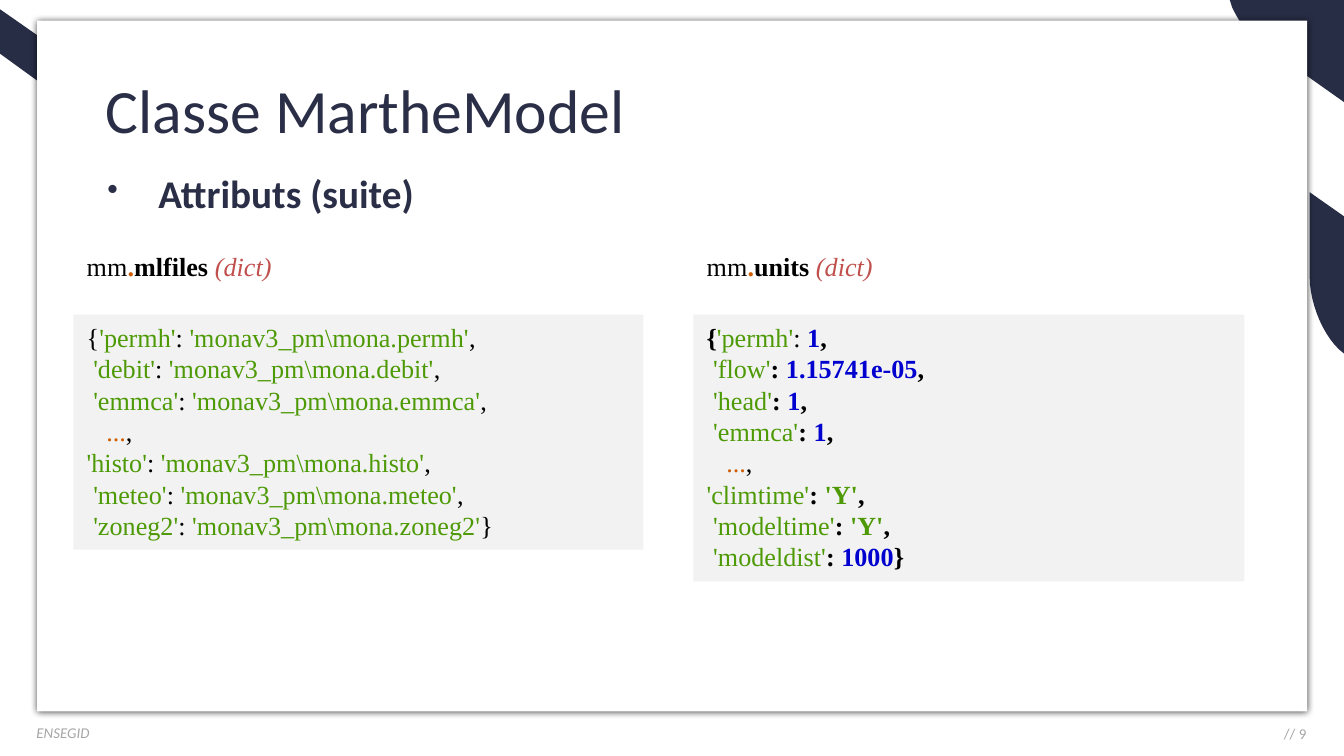
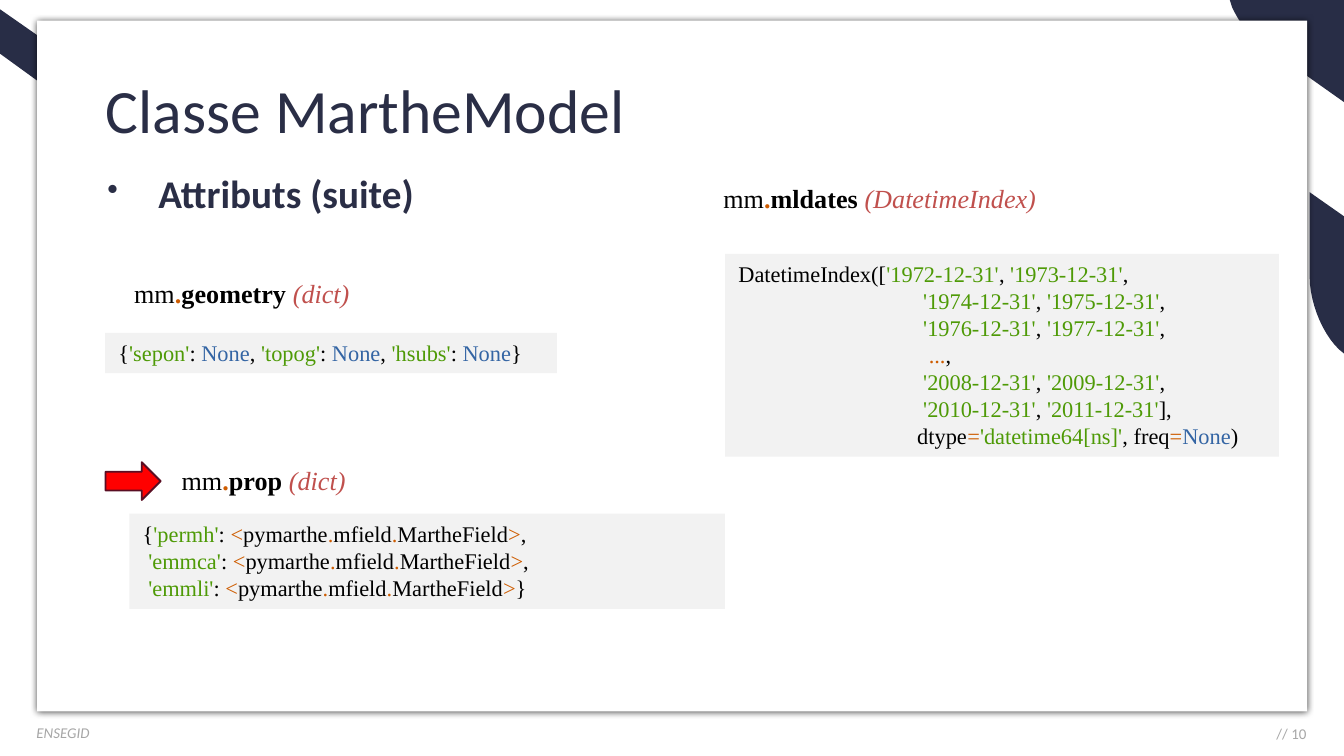
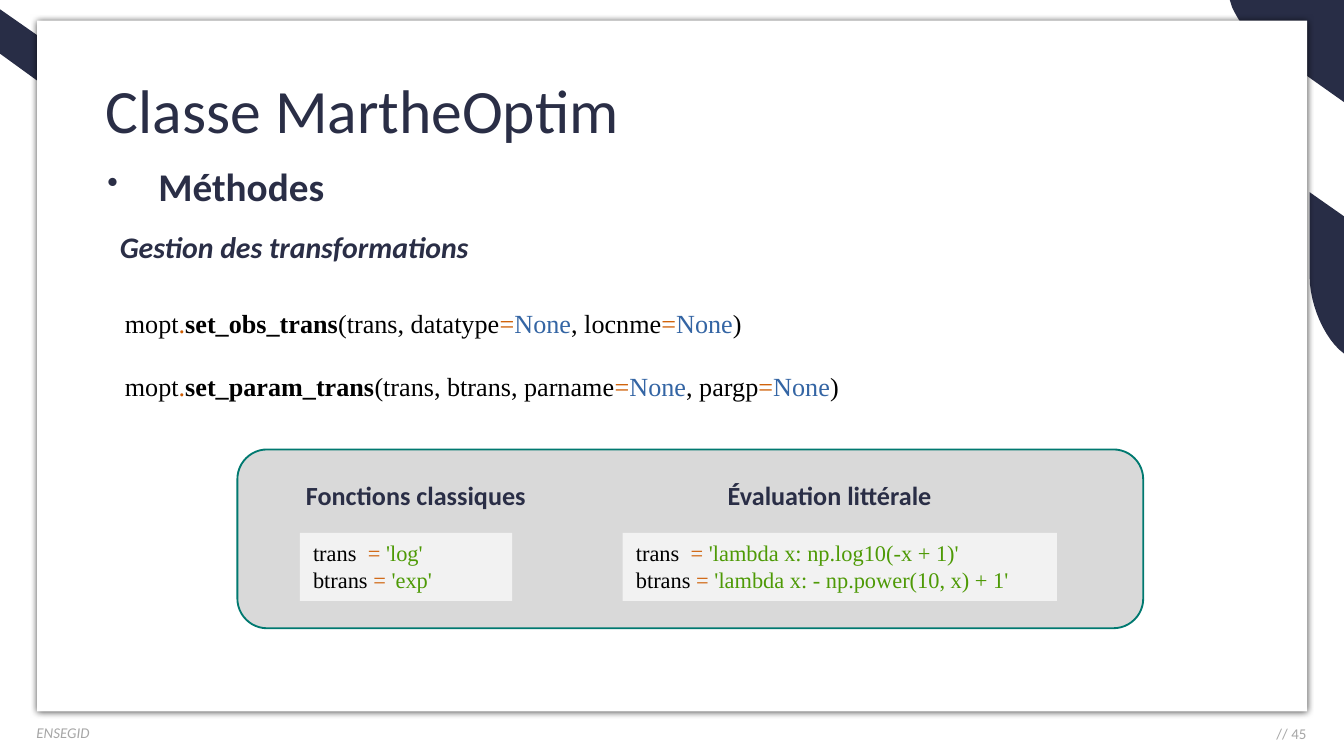
from lxml import etree
from pptx import Presentation
from pptx.dml.color import RGBColor
from pptx.enum.shapes import MSO_SHAPE
from pptx.enum.text import MSO_ANCHOR, PP_ALIGN
from pptx.oxml.ns import qn
from pptx.util import Pt

RECT = MSO_SHAPE.RECTANGLE
ROUNDED = MSO_SHAPE.ROUNDED_RECTANGLE
DOWN_ARROW = MSO_SHAPE.DOWN_ARROW
TOP, MIDDLE = MSO_ANCHOR.TOP, MSO_ANCHOR.MIDDLE
LEFT, CENTER, RIGHT = PP_ALIGN.LEFT, PP_ALIGN.CENTER, PP_ALIGN.RIGHT

SANS, SERIF = "Calibri", "Times New Roman"
COLORS = {
    "white": "FFFFFF", "band": "282D46", "heading": "2A2E46", "footer": "A6A6A6",
    "code": "F2F2F2", "panel": "D9D9D9", "panel_line": "007970",
    "arrow": "FF0000", "arrow_line": "5A0E23", "shadow": "000000",
    "plain": "000000", "string": "4E9A06", "operator": "CE5C00",
    "number": "0000CF", "constant": "3465A4", "type": "C0504D",
}
TOKENS = {"k": "plain", "s": "string", "o": "operator",
          "n": "number", "v": "constant", "t": "type"}
LINE_FACTOR = 1.2

BANDS = [
    [(658.8, 0), (720, 0), (720, 54.7), (673.2, 21.6),
     [(668.2, 18), (663.8, 11.5), (660.2, 4.3)]],
    [(701.6, 103), (720, 115.9), (720, 189.4),
     [(709.9, 182.2), (701.6, 163.4), (701.6, 148.3)]],
    [(36.7, 55.4), (0, 28.8), (0, 5), (31, 26.6),
     [(33.8, 29.5), (36.7, 35.3), (36.7, 40.3)]],
]


def rgb(name):
    return RGBColor.from_string(COLORS[name])


def curve(start, controls, steps=12):
    points = [start, *controls]
    weights = (1, 3, 3, 1)
    for step in range(1, steps + 1):
        t = step / steps
        yield tuple(
            sum(w * (1 - t) ** (3 - i) * t ** i * point[axis]
                for i, (w, point) in enumerate(zip(weights, points)))
            for axis in (0, 1))


class Slides:
    def __init__(self):
        self.deck = Presentation()
        self.deck.slide_width, self.deck.slide_height = Pt(720), Pt(405)
        self.page = None

    def start(self, title, number):
        self.page = self.deck.slides.add_slide(self.deck.slide_layouts[6])
        for outline in BANDS:
            self.band(outline)
        card = self.shape(RECT, (19.9, 11.1, 680.4, 370), "white")
        self.cast_shadow(card)
        self.text((581, 385.2, 126, 15.1), f"// {number}", 8, "footer",
                  align=RIGHT, anchor=MIDDLE)
        self.text((12.4, 384, 250.6, 17.3), "ENSEGID", 8, "footer", italic=True)
        heading = self.text((49.7, 21.6, 620.6, 78.5), title, 33, "heading", anchor=MIDDLE)
        heading.line_spacing = 0.9

    def band(self, outline):
        points = []
        for item in outline:
            points.extend(curve(points[-1], item) if isinstance(item, list) else [item])
        builder = self.page.shapes.build_freeform(
            Pt(points[0][0]), Pt(points[0][1]), scale=1.0)
        builder.add_line_segments([(Pt(x), Pt(y)) for x, y in points[1:]], close=True)
        self.paint(builder.convert_to_shape(), "band")

    def paint(self, shape, fill, line=None):
        shape.shadow.inherit = False
        shape.fill.solid()
        shape.fill.fore_color.rgb = rgb(fill)
        if line:
            shape.line.color.rgb = rgb(line)
            shape.line.width = Pt(1)
        else:
            shape.line.fill.background()

    def shape(self, kind, place, fill, line=None):
        shape = self.page.shapes.add_shape(kind, *map(Pt, place))
        self.paint(shape, fill, line)
        return shape

    def cast_shadow(self, shape):
        effects = shape.element.spPr.find(qn("a:effectLst"))
        shadow = etree.SubElement(
            effects, qn("a:outerShdw"), blurRad=str(Pt(4)), dist=str(Pt(1)),
            dir=str(45 * 60000), algn="tl", rotWithShape="0")
        color = etree.SubElement(shadow, qn("a:srgbClr"), val=COLORS["shadow"])
        etree.SubElement(color, qn("a:alpha"), val="75000")

    def text(self, place, words, size, color, bold=False, italic=False,
             align=LEFT, anchor=TOP):
        box = self.page.shapes.add_textbox(*map(Pt, place))
        frame = box.text_frame
        frame.word_wrap = True
        frame.vertical_anchor = anchor
        frame.text = words
        para = frame.paragraphs[0]
        para.alignment = align
        self.style(para.runs[0], SANS, size, color, bold, italic)
        return para

    def style(self, span, face, size, color, bold=False, italic=False):
        font = span.font
        font.name, font.size = face, Pt(size)
        font.bold, font.italic = bold, italic
        font.color.rgb = rgb(color)

    def bullet(self, place, words):
        para = self.text(place, words, 21, "heading", bold=True)
        para.line_spacing = 0.9
        properties = para._p.get_or_add_pPr()
        properties.set("marL", str(Pt(28.1)))
        properties.set("indent", str(Pt(-27.4)))
        etree.SubElement(properties, qn("a:buSzPct"), val="80000")
        etree.SubElement(properties, qn("a:buChar"), char="•")

    def write_code(self, shape, lines, size, gap=0):
        frame = shape.text_frame
        frame.word_wrap = True
        frame.vertical_anchor = TOP
        for index, line in enumerate(lines):
            para = frame.add_paragraph() if index else frame.paragraphs[0]
            para.alignment = LEFT
            para.line_spacing = Pt(size * LINE_FACTOR)
            if index and gap:
                para.space_before = Pt(gap)
            for token in line.split("|"):
                mark = token[0]
                span = para.add_run()
                span.text = token[1:]
                self.style(span, SERIF, size, TOKENS[mark.lower()],
                           mark.isupper(), mark == "t")

    def code_block(self, place, lines, size=12):
        self.write_code(self.shape(RECT, place, "code"), lines, size)

    def code_text(self, place, lines, gap=0):
        box = self.page.shapes.add_textbox(*map(Pt, place))
        self.write_code(box, lines, 14, gap)

    def attribute(self, left, top, width, name, kind):
        self.code_text((left, top, width, 24.5), [f"kmm|O.|K{name} |t({kind})"])


def file_entry(key):
    return f"s'{key}'|k: |s'monav3_pm\\mona.{key}'"


def field_entry(key):
    return f"s'{key}'|k: |o<|kpymarthe|o.|kmfield|o.|kMartheField|o>"


def date_pair(first, second):
    return f"s'{first}-12-31'|k, |s'{second}-12-31'"


def files_and_units(slides):
    slides.start("Classe MartheModel", 9)
    slides.code_block((371.5, 168.5, 295.2, 143), [
        "K{|s'permh'|k: |N1|K,",
        "k |s'flow'|K: |N1.15741e-05|K,",
        "k |s'head'|K: |N1|K,",
        "k |s'emmca'|K: |N1|K,",
        "k   |o...|k,",
        "s'climtime'|K: |S'Y'|K,",
        "k |s'modeltime'|K: |S'Y'|K,",
        "k |s'modeldist'|K: |N1000|K}",
    ], 14)
    slides.code_block((39.4, 168.5, 305.3, 126), [
        f"k{{|{file_entry('permh')}|k,",
        f"k |{file_entry('debit')}|k,",
        f"k |{file_entry('emmca')}|k,",
        "k   |o...|k,",
        f"{file_entry('histo')}|k,",
        f"k |{file_entry('meteo')}|k,",
        f"k |{file_entry('zoneg2')}|k}}",
    ], 14)
    slides.attribute(39.4, 130.6, 119, "mlfiles", "dict")
    slides.attribute(371.5, 130.6, 109, "units", "dict")
    slides.bullet((49.7, 90, 240, 48), "Attributs (suite)")


def geometry_and_dates(slides):
    slides.start("Classe MartheModel", 10)
    slides.bullet((49.7, 90, 204, 48), "Attributs (suite)")
    slides.code_block((56.4, 178.4, 241.9, 21.6), [
        "k{|s'sepon'|k: |vNone|k, |s'topog'|k: |vNone|k, |s'hsubs'|k: |vNone|k}",
    ])
    slides.code_block((69.4, 275.2, 319, 51), [
        f"k{{|{field_entry('permh')}|k,",
        f"k |{field_entry('emmca')}|k,",
        f"k |{field_entry('emmli')}|k}}",
    ])
    slides.attribute(64.8, 145.1, 136, "geometry", "dict")
    slides.attribute(90.2, 245.1, 107, "prop", "dict")
    margin = "k" + " " * 33
    slides.code_block((388.5, 136, 296.6, 108.7), [
        f"kDatetimeIndex([|{date_pair(1972, 1973)}|k,",
        f"{margin}|{date_pair(1974, 1975)}|k,",
        f"{margin}|{date_pair(1976, 1977)}|k,",
        f"{margin} |o...|k,",
        f"{margin}|{date_pair(2008, 2009)}|k,",
        f"{margin}|{date_pair(2010, 2011)}|k],",
        f"{margin[:-1]}|kdtype|o=|s'datetime64[ns]'|k, freq|o=|vNone|k)",
    ])
    slides.attribute(380.4, 94.3, 268.6, "mldates", "DatetimeIndex")
    arrow = slides.shape(DOWN_ARROW, (61.2, 243, 20.2, 29.5), "arrow", "arrow_line")
    arrow.rotation = 270


def transformations(slides):
    slides.start("Classe MartheOptim", 45)
    slides.shape(ROUNDED, (127.2, 240.8, 485.3, 95.8), "panel", "panel_line")
    slides.bullet((49.7, 86, 202.3, 32.4), "Méthodes")
    examples = [
        ("Évaluation littérale", 380, 128.9, 333.6, 232.6,
         "lambda x: np.log10(-x + 1)", "lambda x: - np.power(10, x) + 1"),
        ("Fonctions classiques", 153, 139.7, 160.6, 113.8, "log", "exp"),
    ]
    for caption, left, width, code_left, code_width, forward, backward in examples:
        slides.code_block((code_left, 285.5, code_width, 36.4), [
            f"ktrans  |o= |s'{forward}'",
            f"kbtrans |o= |s'{backward}'",
        ])
        slides.text((left, 253.4, width, 24.5), caption, 14, "heading",
                    bold=True, align=CENTER)
    slides.code_text((59.8, 161.3, 463.7, 58.3), [
        "kmopt|o.|Kset_obs_trans|k(trans, datatype|o=|vNone|k, locnme|o=|vNone|k)",
        "kmopt|o.|Kset_param_trans|k(trans, btrans, parname|o=|vNone|k, pargp|o=|vNone|k)",
    ], gap=16.8)
    slides.text((57.1, 119.2, 224.6, 26.6), "Gestion des transformations", 16,
                "heading", bold=True, italic=True)


def main():
    slides = Slides()
    files_and_units(slides)
    geometry_and_dates(slides)
    transformations(slides)
    slides.deck.save("out.pptx")


if __name__ == "__main__":
    main()
